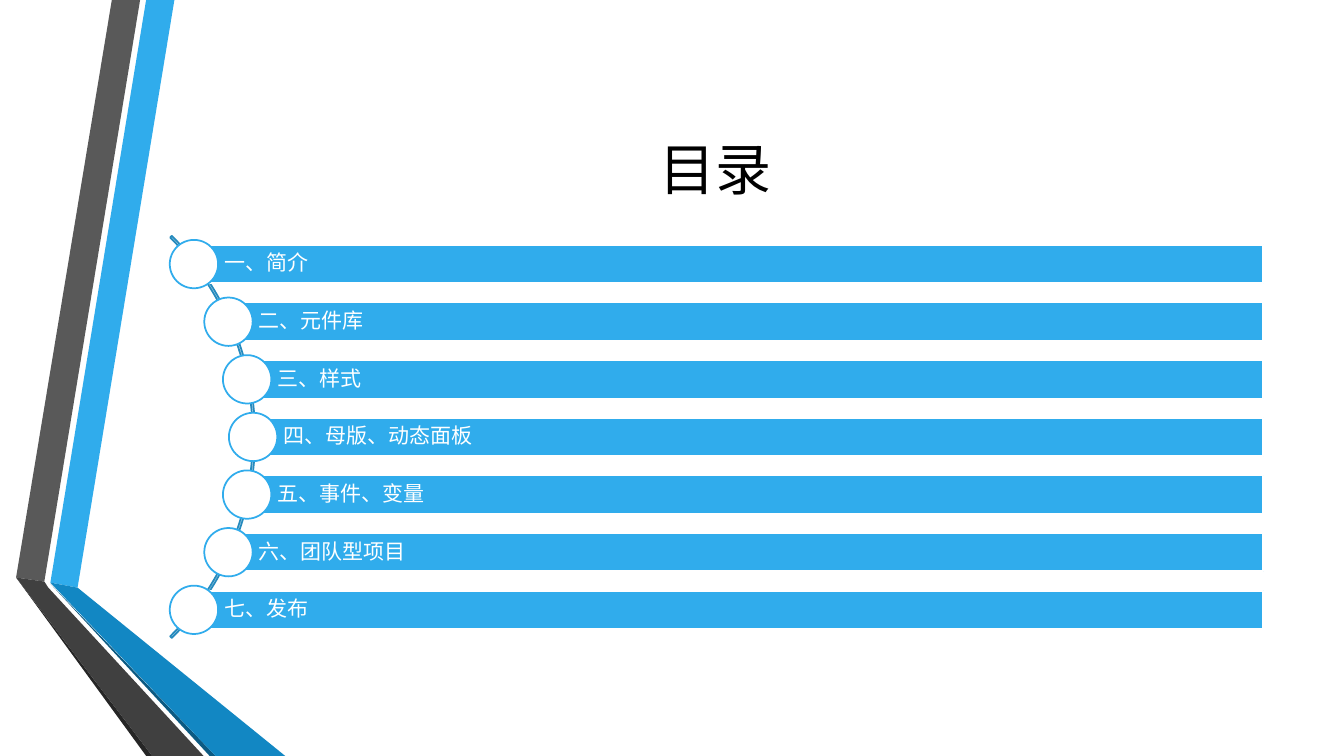
from dataclasses import dataclass
from math import sqrt

from pptx import Presentation
from pptx.dml.color import RGBColor
from pptx.enum.shapes import MSO_SHAPE as Shape
from pptx.enum.text import MSO_ANCHOR as Anchor, PP_ALIGN as Align
from pptx.util import Inches, Pt


@dataclass(frozen=True)
class Theme:
    font: str = "Calibri"
    title_size: float = 40
    item_size: float = 15
    line_width: float = 1.25
    black: str = "000000"
    white: str = "FFFFFF"
    blue: str = "30ACEC"
    arc_blue: str = "268ABD"


@dataclass(frozen=True)
class Box:
    left: float
    top: float
    width: float
    height: float

    def inches(self):
        return [Inches(v) for v in (self.left, self.top, self.width, self.height)]


THEME = Theme()
ITEMS = ["一、简介", "二、元件库", "三、样式", "四、母版、动态面板",
         "五、事件、变量", "六、团队型项目", "七、发布"]

# Ribbon facets: colour and corners, relative to the ribbon box
RIBBON_FACETS = [
    ("30ACEC", [(0.34, 5.78), (0.61, 5.83), (1.57, 0), (1.29, 0)]),
    ("595959", [(1.23, 0), (0.95, 0), (0, 5.73), (0.28, 5.77)]),
    ("262626", [(0, 5.73), (1.29, 7.5), (1.35, 7.5)]),
    ("0C5A82", [(0.34, 5.79), (1.92, 7.5), (1.98, 7.5)]),
    ("1287C3", [(0.34, 5.78), (1.98, 7.5), (2.67, 7.5), (0.61, 5.83)]),
    ("404040", [(1.86, 7.5), (0.32, 5.83), (0.28, 5.77), (0, 5.73), (1.35, 7.5)]),
]


def style_shape(shape, fill=None, line=None):
    shape.shadow.inherit = False
    if fill:
        shape.fill.solid()
        shape.fill.fore_color.rgb = RGBColor.from_string(fill)
    else:
        shape.fill.background()
    if line:
        shape.line.color.rgb = RGBColor.from_string(line)
        shape.line.width = Pt(THEME.line_width)
    else:
        shape.line.fill.background()


def write_text(shape, text, size, color, align):
    frame = shape.text_frame
    frame.text = text
    frame.word_wrap = True
    frame.vertical_anchor = Anchor.MIDDLE
    paragraph = frame.paragraphs[0]
    paragraph.alignment = align
    paragraph.line_spacing = 0.9
    font = paragraph.runs[0].font
    font.name = THEME.font
    font.size = Pt(size)
    font.color.rgb = RGBColor.from_string(color)


def add_ribbons(slide, box):
    for color, corners in RIBBON_FACETS:
        points = [(Inches(box.left + x), Inches(box.top + y)) for x, y in corners]
        builder = slide.shapes.build_freeform(*points[0], scale=1.0)
        builder.add_line_segments(points[1:], close=True)
        style_shape(builder.convert_to_shape(), fill=color)


def add_title(slide, box, text):
    title = slide.shapes.title
    title.left, title.top, title.width, title.height = box.inches()
    write_text(title, text, THEME.title_size, THEME.black, Align.CENTER)


def add_item(slide, box, text):
    """One bar with a circle centred on its left edge."""
    bar = slide.shapes.add_shape(Shape.RECTANGLE, *box.inches())
    style_shape(bar, THEME.blue, THEME.white)
    write_text(bar, text, THEME.item_size, THEME.white, Align.LEFT)
    frame = bar.text_frame
    frame.margin_left = Inches(0.3)
    frame.margin_top = frame.margin_right = frame.margin_bottom = Inches(0.04)

    diameter = 0.48
    circle_box = Box(box.left - diameter / 2,
                     box.top + (box.height - diameter) / 2, diameter, diameter)
    circle = slide.shapes.add_shape(Shape.OVAL, *circle_box.inches())
    style_shape(circle, THEME.white, THEME.blue)


def add_contents(slide, box, items):
    """Bars at equal steps, starting on an arc that bulges to the right."""
    radius, bar_height = 2.82, 0.38
    center_x = box.left - 1.97
    center_y = box.top + box.height / 2
    right = box.left + box.width

    # Curved spine
    arc_box = Box(center_x - radius, center_y - radius, 2 * radius, 2 * radius)
    arc = slide.shapes.add_shape(Shape.BLOCK_ARC, *arc_box.inches())
    for index, value in enumerate((189, 27, 0.004)):
        arc.adjustments[index] = value
    style_shape(arc, line=THEME.arc_blue)

    # Contents bars
    step = (box.height - bar_height) / (len(items) - 1)
    for index, text in enumerate(items):
        offset = (index - (len(items) - 1) / 2) * step
        left = center_x + sqrt((radius - 0.02) ** 2 - offset ** 2)
        bar_box = Box(left, center_y + offset - bar_height / 2,
                      right - left, bar_height)
        add_item(slide, bar_box, text)


def build_contents_slide(presentation):
    slide = presentation.slides.add_slide(presentation.slide_layouts[5])
    add_ribbons(slide, Box(0.16, 0, 2.67, 7.5))
    add_title(slide, Box(1.62, 0.75, 10.96, 1.92), "目录")
    add_contents(slide, Box(1.68, 2.43, 10.85, 3.81), ITEMS)


def main():
    presentation = Presentation()
    presentation.slide_width = Inches(13.33)
    presentation.slide_height = Inches(7.5)
    build_contents_slide(presentation)
    presentation.save("out.pptx")


if __name__ == "__main__":
    main()
